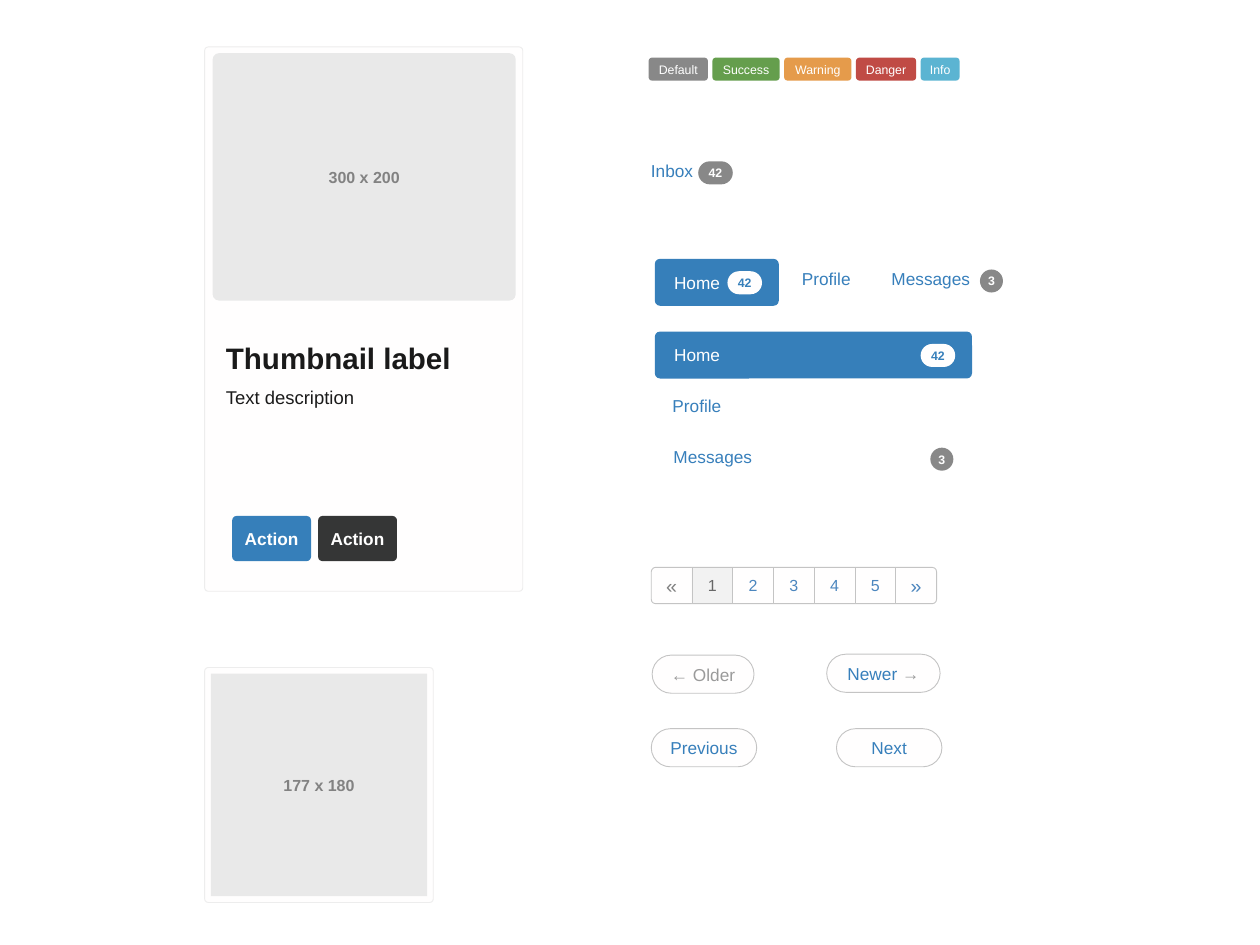
import pptx
import pptx.util
import pptx.dml.color
import pptx.enum.shapes
import pptx.enum.text

PX = 9144
HUES = {
    "white": "FFFEFE", "text": "FFFFFF", "ink": "1A1A1A", "edge": "EDEDED",
    "pale": "E9E9E9", "hint": "828282", "grey": "888888", "dark": "353636",
    "blue": "367FBA", "link": "377FBB", "green": "659E4D", "orange": "E59B4B",
    "red": "C04B45", "cyan": "5BB4D2", "rule": "C4C4C4", "mute": "9A9A9A",
    "page": "4C86BE", "on": "F2F2F2", "num": "676767", "prev": "808080",
}
FRAME = {
    "margin_left": 0, "margin_top": 0, "margin_right": 0, "margin_bottom": 0,
    "word_wrap": True, "auto_size": pptx.enum.text.MSO_AUTO_SIZE.NONE,
    "vertical_anchor": pptx.enum.text.MSO_ANCHOR.MIDDLE,
}
CENTER = pptx.enum.text.PP_ALIGN.CENTER
LEFT = pptx.enum.text.PP_ALIGN.LEFT


def hue(name):
    """Return the named colour."""
    return pptx.dml.color.RGBColor.from_string(HUES[name])


def apply(item, form):
    """Set each format value on the item."""
    for key, value in form.items():
        setattr(item, key, value)


def place(item, box):
    """Move and size an item to a box in px."""
    apply(item, dict(zip(("left", "top", "width", "height"), (n * PX for n in box))))


def write(item, runs, size, bold=False, align=CENTER, inset=0):
    """Fill an item with one line of (text, colour) runs."""
    frame = item.text_frame
    apply(frame, {**FRAME, "margin_left": inset * PX})
    line = frame.paragraphs[0]
    line.alignment = align
    for text, color in runs:
        run = line.add_run()
        run.text = text
        apply(run.font, {"name": "Arial", "size": pptx.util.Pt(size), "bold": bold})
        run.font.color.rgb = hue(color)


def block(slide, box, fill, radius=0, edge=None):
    """Draw a filled box with round or square corners."""
    kinds = pptx.enum.shapes.MSO_SHAPE
    kind = kinds.ROUNDED_RECTANGLE if radius else kinds.RECTANGLE
    item = slide.shapes.add_shape(kind, *(n * PX for n in box))
    if radius:
        item.adjustments[0] = min(0.5, radius / min(box[2:]))
    item.shadow.inherit = False
    item.fill.solid()
    item.fill.fore_color.rgb = hue(fill)
    if edge:
        item.line.color.rgb = hue(edge)
        item.line.width = pptx.util.Pt(0.75)
    else:
        item.line.fill.background()
    return item


def label(slide, box, text, color="link", size=14, align=CENTER):
    """Place a plain line of text."""
    item = slide.shapes.add_textbox(*(n * PX for n in box))
    write(item, [(text, color)], size, align=align)


def badge(slide, x, y, text, fill="grey", color="text"):
    """Draw a count in a pill as wide as its digits need."""
    item = block(slide, (x, y, 13 + 13 * len(text), 26), fill, 13)
    write(item, [(text, color)], 10, True)


def card(slide, box):
    """Draw the thumbnail card with its title, text and buttons."""
    x, y, w, h = box
    block(slide, box, "white", 4, "edge")
    thumb = block(slide, (x + 9, y + 7, w - 17, 279), "pale", 7)
    write(thumb, [("300 x 200", "hint")], 13, True)
    title = slide.shapes.title
    title.element.getparent().append(title.element)
    place(title, (x + 24, y + 327, w - 48, 48))
    write(title, [("Thumbnail label", "ink")], 24, True, LEFT)
    label(slide, (x + 24, y + 380, w - 48, 30), "Text description", "ink", 15, LEFT)
    for i, fill in enumerate(("blue", "dark")):
        item = block(slide, (x + 31 + 97 * i, y + 529, 89, 51), fill, 5)
        write(item, [("Action", "text")], 14, True)


def thumb(slide, box):
    """Draw the small framed thumbnail."""
    x, y, w, h = box
    block(slide, box, "white", 4, "edge")
    item = block(slide, (x + 7, y + 7, w - 14, h - 14), "pale")
    write(item, [("177 x 180", "hint")], 13, True)


def tags(slide, x, y):
    """Draw the row of coloured tags."""
    for text, fill, w in (("Default", "grey", 67), ("Success", "green", 76),
                          ("Warning", "orange", 76), ("Danger", "red", 68),
                          ("Info", "cyan", 44)):
        write(block(slide, (x, y, w, 26), fill, 4), [(text, "text")], 10)
        x += w + 5


def inbox(slide, x, y):
    """Draw the inbox link and its count."""
    label(slide, (x, y, 53, 23), "Inbox")
    badge(slide, x + 56, y + 1, "42")


def home(slide, box):
    """Draw the active Home pill with its count."""
    x, y, w, h = box
    write(block(slide, box, "blue", 6), [("Home", "text")], 14, align=LEFT, inset=20)
    badge(slide, x + w - 58, y + 14, "42", "white", "blue")


def menus(slide, x, y):
    """Draw the flat and the stacked menu."""
    home(slide, (x, y, 140, 53))
    home(slide, (x, y + 82, 358, 53))
    for dx, dy, end in ((164, 11, 367), (18, 154, 311)):
        label(slide, (x + dx, y + dy, 59, 23), "Profile")
    for dx, dy, end in ((266, 11, 367), (20, 212, 311)):
        label(slide, (x + dx, y + dy, 91, 23), "Messages")
        badge(slide, x + end, y + dy + 1, "3")


def pages(slide, box):
    """Draw the page numbers between two arrows."""
    x, y, w, h = box
    signs = "«12345»"
    step = w // len(signs)
    block(slide, box, "white", 5, "rule")
    for i, sign in enumerate(signs):
        cell = (x + step * i, y, step, h)
        if sign.isdigit():
            fill, color = ("on", "num") if sign == "1" else ("white", "page")
            write(block(slide, cell, fill, edge="rule"), [(sign, color)], 13)
        else:
            label(slide, cell, sign, "prev" if i == 0 else "page", 16)


def pager(slide, x, y):
    """Draw the four outlined pager buttons."""
    for dx, dy, w, runs in ((1, 1, 115, [("← Older", "mute")]),
                            (198, 0, 128, [("Newer ", "link"), ("→", "mute")]),
                            (0, 84, 119, [("Previous", "link")]),
                            (209, 84, 119, [("Next", "link")])):
        write(block(slide, (x + dx, y + dy, w, 43), "white", 22, "rule"), runs, 14)


def main():
    """Build and save the slide."""
    deck = pptx.Presentation()
    apply(deck, {"slide_width": 1422 * PX, "slide_height": 1066 * PX})
    slide = deck.slides.add_slide(deck.slide_layouts[5])
    card(slide, (231, 53, 359, 614))
    thumb(slide, (231, 753, 258, 265))
    tags(slide, 732, 65)
    inbox(slide, 732, 181)
    menus(slide, 739, 292)
    pages(slide, (735, 640, 322, 41))
    pager(slide, 735, 738)
    deck.save("out.pptx")


if __name__ == "__main__":
    main()
